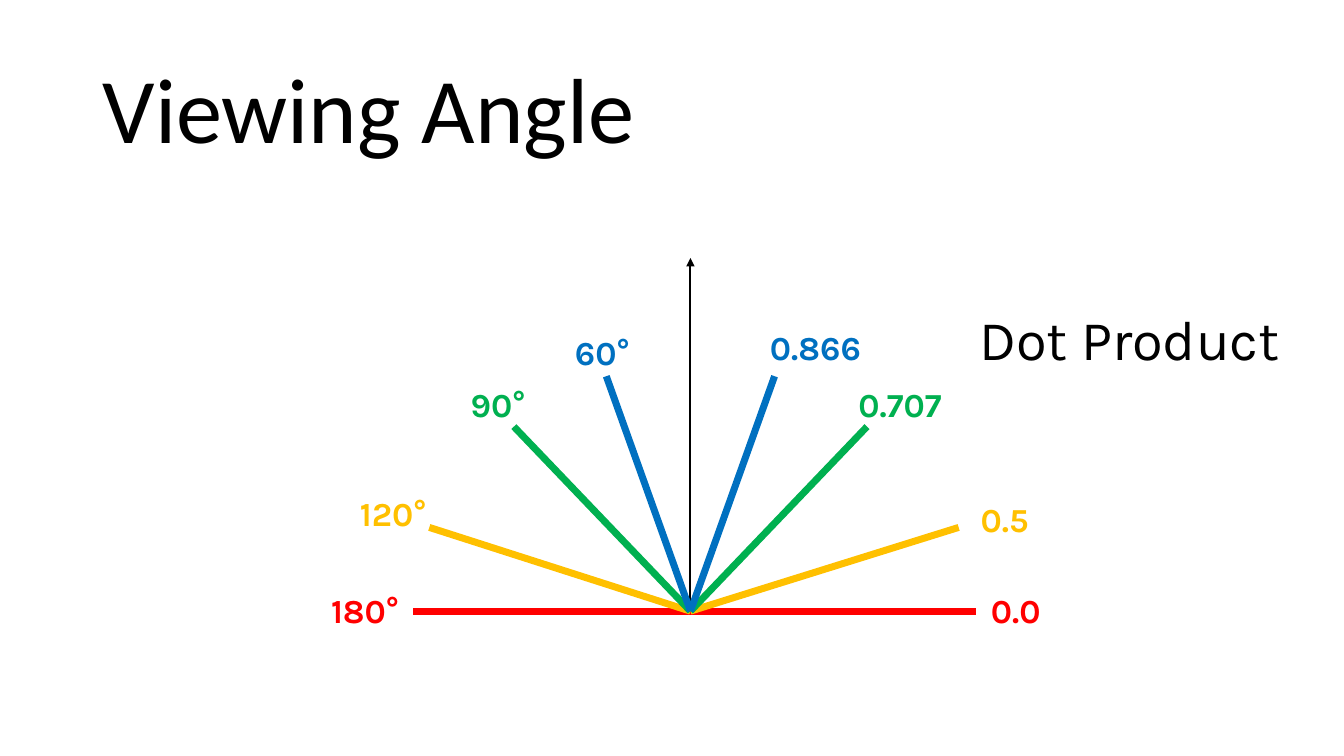
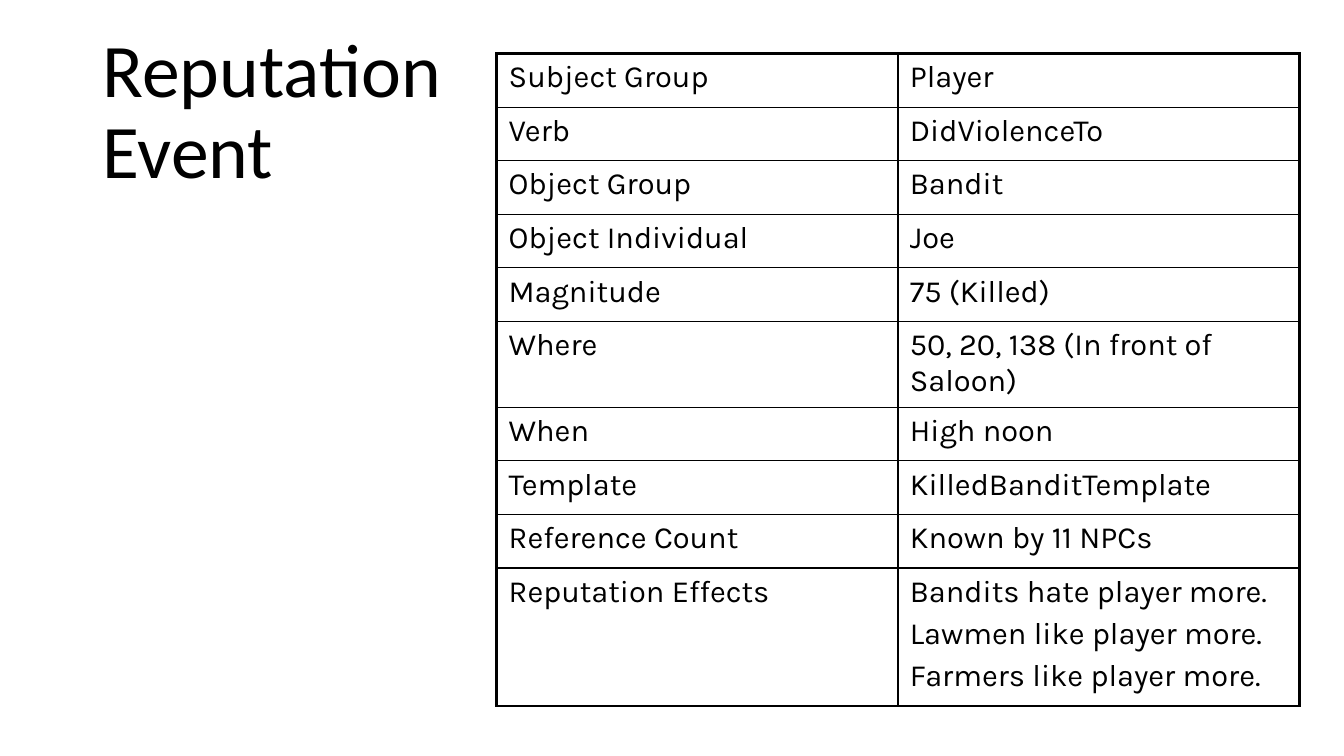
from dataclasses import dataclass

from lxml import etree
from pptx import Presentation
from pptx.dml.color import RGBColor
from pptx.enum.shapes import MSO_CONNECTOR
from pptx.enum.text import MSO_ANCHOR, PP_ALIGN
from pptx.oxml.ns import qn
from pptx.util import Cm, Pt

LINE = MSO_CONNECTOR.STRAIGHT
MIDDLE, TOP = MSO_ANCHOR.MIDDLE, MSO_ANCHOR.TOP
LEFT, CENTER = PP_ALIGN.LEFT, PP_ALIGN.CENTER


@dataclass(frozen=True)
class Theme:
    """Colours, fonts, sizes and line widths of the deck."""

    black: str = "000000"
    red: str = "FF0000"
    gold: str = "FFC000"
    green: str = "00B050"
    blue: str = "0070C0"
    head: str = "Calibri"
    body: str = "Karla"
    large: int = 66
    title: int = 54
    note: int = 40
    label: int = 24
    cell: int = 22
    axis: float = 1.5
    ray: float = 5
    frame: float = 2.25
    rule: float = 1


T = Theme()

RAYS = [
    (T.red, (-7, 0), "180°", (-8.2, 0), (7.2, 0), "0.0", (8.2, 0)),
    (T.gold, (-6.58, -2.11), "120°", (-7.49, -2.45),
     (6.76, -2.11), "0.5", (7.92, -2.3)),
    (T.green, (-4.45, -4.65), "90°", (-4.85, -5.19),
     (4.45, -4.65), "0.707", (5.28, -5.19)),
    (T.blue, (-2.12, -5.92), "60°", (-2.22, -6.52),
     (2.12, -5.92), "0.866", (3.15, -6.64)),
]

EVENT = [
    ("Subject Group", "Player"),
    ("Verb", "DidViolenceTo"),
    ("Object Group", "Bandit"),
    ("Object Individual", "Joe"),
    ("Magnitude", "75 (Killed)"),
    ("Where", "50, 20, 138 (In front of Saloon)"),
    ("When", "High noon"),
    ("Template", "KilledBanditTemplate"),
    ("Reference Count", "Known by 11 NPCs"),
    ("Reputation Effects", "Bandits hate player more.\n"
     "Lawmen like player more.\nFarmers like player more."),
]
ROW = 1.35
TALL = {5: 2.16, 9: 3.48}


def apply(item, **looks):
    """Set each given format value on the item."""
    for name, value in looks.items():
        setattr(item, name, value)


def write(frame, text, size, ink=T.black, face=T.body, bold=False, **para):
    """Write one paragraph per line of text."""
    frame.text = text
    for part in frame.paragraphs:
        apply(part, **para)
        font = part.runs[0].font
        apply(font, name=face, size=Pt(size), bold=bold)
        font.color.rgb = RGBColor.from_string(ink)


def text_box(slide, box, text, size, anchor=TOP, **looks):
    """Place wrapped text in a box given in centimetres."""
    frame = slide.shapes.add_textbox(*map(Cm, box)).text_frame
    apply(frame, word_wrap=True, vertical_anchor=anchor)
    write(frame, text, size, **looks)


def title(slide, text, size):
    """Place the slide title."""
    text_box(slide, (2.34, 1.02, 29.21, 3.68), text, size, MIDDLE,
             face=T.head, line_spacing=0.9)


def ray(slide, hub, step, ink, width, arrow=False):
    """Draw a line from the hub by the given step."""
    ends = [*hub, hub[0] + step[0], hub[1] + step[1]]
    line = slide.shapes.add_connector(LINE, *map(Cm, ends))
    line.line.width = Pt(width)
    line.line.color.rgb = RGBColor.from_string(ink)
    if arrow:
        etree.SubElement(line.line._get_or_add_ln(), qn("a:tailEnd"),
                         type="triangle")
    etree.SubElement(line._element.spPr, qn("a:effectLst"))


def fan(slide, box):
    """Draw the fan of rays with its labels, hub at the box's foot."""
    left, top, width, height = box
    hub = left + width / 2, top + height
    wide, high = 3, 1.3
    ray(slide, hub, (0, -height), T.black, T.axis, True)
    for ink, *sides in RAYS:
        for step, text, mid in (sides[:3], sides[3:]):
            ray(slide, hub, step, ink, T.ray)
            spot = (hub[0] + mid[0] - wide / 2, hub[1] + mid[1] - high / 2,
                    wide, high)
            text_box(slide, spot, text, T.label, ink=ink, bold=True,
                     alignment=CENTER)
    text_box(slide, (left + 16.48, top + 1.04, 8.18, 1.96), "Dot Product",
             T.note, alignment=CENTER)


def border(cell, widths):
    """Draw the four borders of a cell."""
    props = cell._tc.get_or_add_tcPr()
    for side, width in zip("LRTB", widths):
        line = etree.SubElement(props, qn("a:ln" + side), w=str(Pt(width)))
        fill = etree.SubElement(line, qn("a:solidFill"))
        etree.SubElement(fill, qn("a:srgbClr"), val=T.black)


def grid(slide, box, rows):
    """Place a two-column table with a heavy frame in the box."""
    count, cols = len(rows), len(rows[0])
    table = slide.shapes.add_table(count, cols, *map(Cm, box)).table
    apply(table, first_row=False, horz_banding=False)
    for col in table.columns:
        col.width = Cm(box[2] / cols)
    for r, texts in enumerate(rows):
        table.rows[r].height = Cm(TALL.get(r, ROW))
        for c, text in enumerate(texts):
            cell = table.cell(r, c)
            apply(cell, margin_left=Cm(0.3), margin_right=Cm(0.3),
                  margin_top=Cm(0.15), margin_bottom=Cm(0.15))
            write(cell.text_frame, text, T.cell, alignment=LEFT,
                  space_before=Pt(T.cell * 0.2))
            edges = c == 0, c == cols - 1, r == 0, r == count - 1
            border(cell, [T.frame if edge else T.rule for edge in edges])
            cell.fill.background()


def main():
    """Build and save the deck."""
    deck = Presentation()
    apply(deck, slide_width=Cm(33.87), slide_height=Cm(19.05))
    blank = deck.slide_layouts[6]

    angle = deck.slides.add_slide(blank)
    title(angle, "Viewing Angle", T.large)
    fan(angle, (7.9, 6.5, 19, 8.9))

    event = deck.slides.add_slide(blank)
    title(event, "Reputation\nEvent", T.title)
    grid(event, (12.52, 1.35, 20.22, 16.44), EVENT)

    deck.save("out.pptx")


if __name__ == "__main__":
    main()
